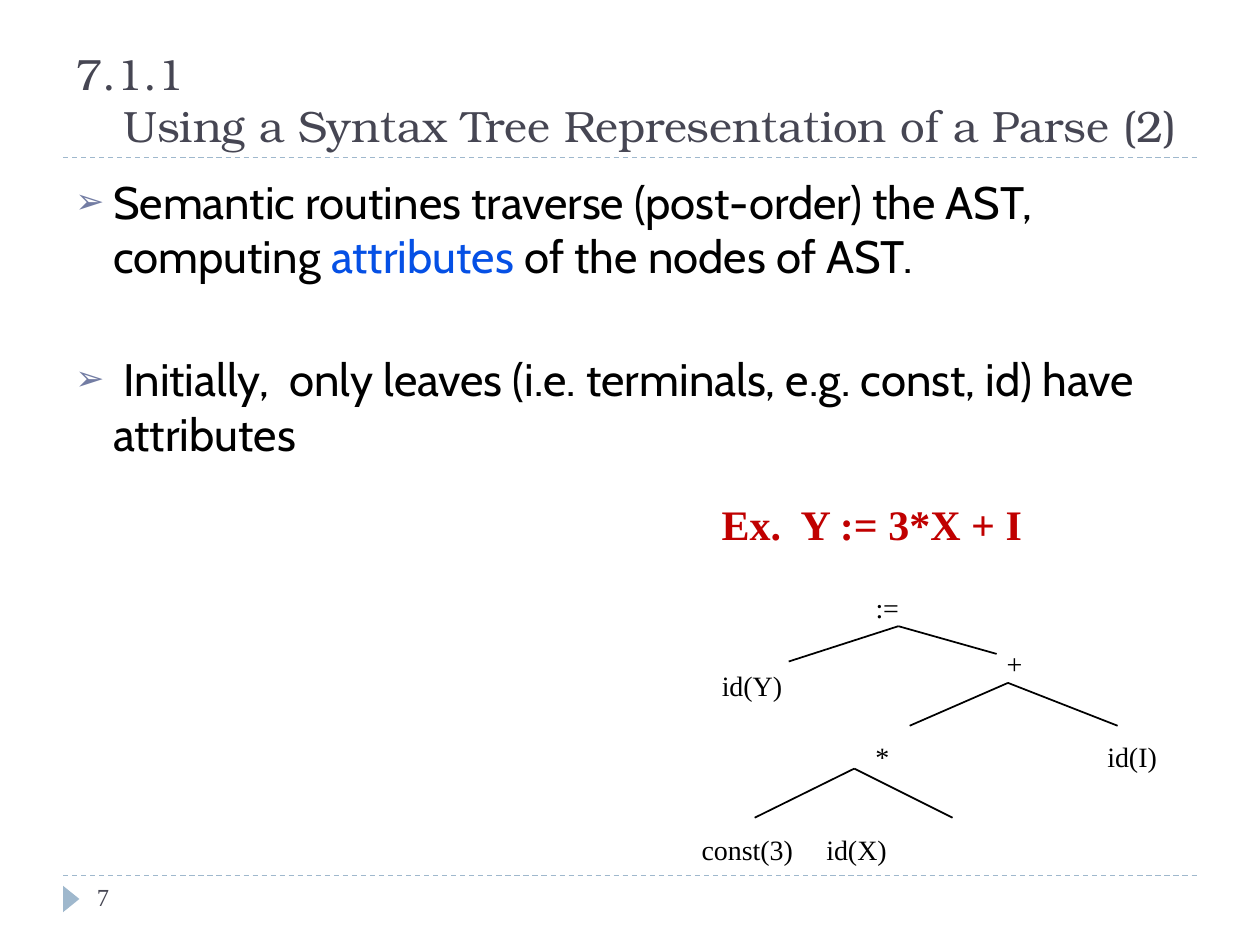
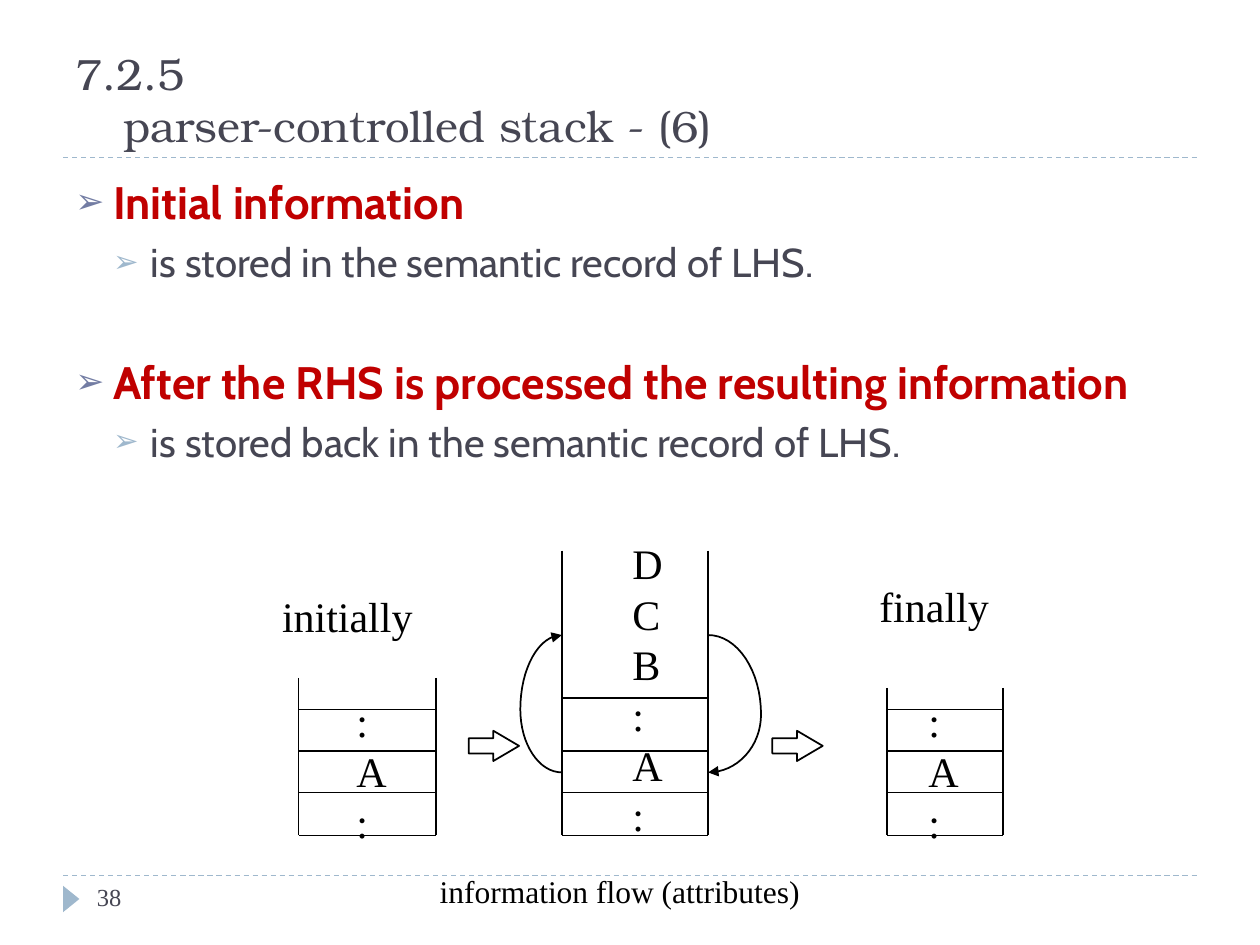
import math

import pptx
import pptx.dml.color
import pptx.enum.dml
import pptx.enum.shapes
import pptx.enum.text
import pptx.oxml.ns
import pptx.util
from lxml import etree

Inches, Pt = pptx.util.Inches, pptx.util.Pt
qn = pptx.oxml.ns.qn
SHAPE = pptx.enum.shapes.MSO_SHAPE
ALIGN = pptx.enum.text.PP_ALIGN

# ---- Shared style ----
COLORS = {"ink": "000000", "title": "464653", "rule": "9FB8CD",
          "bullet": "727CA3", "blue": "0550E5", "red": "C00000"}
TITLE_FONT, BODY_FONT, FIGURE_FONT = "TeX Gyre Bonum", "Cabin", "Times New Roman"
# level: size, left indent, space before, bullet colour
LEVELS = [(26, 0.3, 6, "bullet"), (23, 0.6, 5, "rule")]
HANGING = 0.3
GROUP_GAP = 39
STACK_PITCH = 28.8

# ---- Content: paragraphs are (level, starts a new group, [(text, colour, bold)]) ----
TREE_SLIDE = {
    "title": "7.1.1 \vUsing a Syntax Tree Representation of a Parse (2)",
    "number": "7", "body_width": 9,
    "body": [
        (0, False, [("Semantic routines traverse (post-order) the AST, computing ", "ink", False),
                    ("attributes ", "blue", False),
                    ("of the nodes of AST.", "ink", False)]),
        (0, True, [(" Initially,  only leaves (i.e. terminals, e.g. const, id) have attributes",
                    "ink", False)]),
    ],
}
STACK_SLIDE = {
    "title": "7.2.5  \vparser-controlled stack - (6)",
    "number": "38", "body_width": 9.5,
    "body": [
        (0, False, [("Initial information", "red", True)]),
        (1, False, [("is stored in the semantic record of LHS.", "title", False)]),
        (0, True, [("After the RHS is processed the resulting information", "red", True)]),
        (1, False, [("is stored back in the semantic record of LHS.", "title", False)]),
    ],
}

# Syntax tree: (text, left, top, width) and (parent point, child points)
TREE_NODES = [(":=", 6.85, 4.64, 0.45), ("id(Y)", 5.63, 5.26, 0.75), ("+", 7.89, 5.08, 0.4),
              ("*", 6.85, 5.82, 0.4), ("id(I)", 8.69, 5.82, 0.7),
              ("const(3)", 5.47, 6.56, 1), ("id(X)", 6.46, 6.56, 0.75)]
TREE_BRANCHES = [((7.13, 4.97), [(6.26, 5.25), (7.91, 5.19)]),
                 ((8, 5.42), [(7.22, 5.76), (8.87, 5.76)]),
                 ((6.78, 6.1), [(5.99, 6.49), (7.56, 6.49)])]

# Stacks: left, right, top, highest cell line, symbols, symbol left and top
STACK_BOTTOM = 6.63
CELL_LINES = [5.96, 6.29, STACK_BOTTOM]
STACKS = [(2.37, 3.46, 5.38, 5.63, ":A:", 2.73, 5.47),
          (4.46, 5.62, 4.37, 5.54, "DCB:A:", 4.92, 4.22),
          (7.04, 7.96, 5.46, 5.63, ":A:", 7.27, 5.47)]
STACK_LABELS = [("initially", 2.14, 4.64, 1.3), ("finally", 6.88, 4.56, 1.15)]
STEP_ARROWS = [3.72, 6.13]
# Attribute flow: x at the stack wall, bulge, start y, widest y, end y
FLOWS = [(5.62, 0.42, 5.04, 5.67, 6.13), (4.46, -0.33, 6.13, 5.63, 5.04)]


def rgb(name):
    return pptx.dml.color.RGBColor.from_string(COLORS[name])


def style(font, name, size, color, bold=False):
    font.name, font.size, font.bold = name, Pt(size), bold
    font.color.rgb = rgb(color)


def set_indent(p, left, first):
    ppr = p._p.get_or_add_pPr()
    ppr.set("marL", str(Inches(left)))
    ppr.set("indent", str(Inches(first)))
    return ppr


def add_bullet(ppr, color):
    clr = etree.SubElement(ppr, qn("a:buClr"))
    etree.SubElement(clr, qn("a:srgbClr"), val=COLORS[color])
    etree.SubElement(ppr, qn("a:buSzPct"), val="76000")
    etree.SubElement(ppr, qn("a:buFont"), typeface=BODY_FONT)
    etree.SubElement(ppr, qn("a:buChar"), char="➢")


def add_box(s, left, top, width, height):
    tf = s.shapes.add_textbox(Inches(left), Inches(top), Inches(width), Inches(height)).text_frame
    tf.word_wrap = True
    return tf


def add_label(s, text, left, top, width, height, size, color="ink", bold=False,
              align=ALIGN.LEFT, pitch=None):
    tf = add_box(s, left, top, width, height)
    tf.text = text
    for p in tf.paragraphs:
        p.alignment = align
        if pitch:
            p.line_spacing = Pt(pitch)
        for r in p.runs:
            style(r.font, FIGURE_FONT, size, color, bold)


def add_line(s, start, end, color="ink", width=1, dash=False):
    line = s.shapes.add_connector(pptx.enum.shapes.MSO_CONNECTOR.STRAIGHT,
                                  *(Inches(v) for v in (*start, *end)))
    line.line.color.rgb = rgb(color)
    line.line.width = Pt(width)
    if dash:
        line.line.dash_style = pptx.enum.dml.MSO_LINE.DASH
    etree.SubElement(line._element.spPr, qn("a:effectLst"))


def outline(sp):
    sp.shadow.inherit = False
    sp.fill.background()
    sp.line.color.rgb = rgb("ink")
    sp.line.width = Pt(1)


def add_flow(s, wall, bulge, start, widest, end, steps=32):
    """Half oval leaving the stack wall and returning to it with an arrowhead."""
    points = []
    for i in range(steps + 1):
        a = math.pi * i / steps
        reach = start - widest if i < steps / 2 else widest - end
        points.append((Inches(wall + bulge * math.sin(a)),
                       Inches(widest + reach * math.cos(a))))
    builder = s.shapes.build_freeform(*points[0])
    builder.add_line_segments(points[1:], close=False)
    sp = builder.convert_to_shape()
    outline(sp)
    etree.SubElement(sp.line._get_or_add_ln(), qn("a:tailEnd"), type="triangle")


def add_base(prs, content):
    """Rules, page marker, title and bulleted body."""
    s = prs.slides.add_slide(prs.slide_layouts[6])
    for y in (1.25, 6.95):
        add_line(s, (0.5, y), (9.5, y), "rule", 0.75, dash=True)
    marker = s.shapes.add_shape(SHAPE.ISOSCELES_TRIANGLE, Inches(0.46), Inches(7.07),
                                Inches(0.21), Inches(0.13))
    marker.rotation = 90
    marker.shadow.inherit = False
    marker.fill.solid()
    marker.fill.fore_color.rgb = rgb("rule")
    marker.line.fill.background()
    add_label(s, content["number"], 0.67, 6.95, 2.17, 0.4, 14, "title")

    tf = add_box(s, 0.5, 0.17, 9, 1.08)
    tf.vertical_anchor = pptx.enum.text.MSO_ANCHOR.BOTTOM
    p = tf.paragraphs[0]
    p.text = content["title"]
    set_indent(p, 0.38, -0.38)
    for r in p.runs:
        style(r.font, TITLE_FONT, 25, "title")

    tf = add_box(s, 0.5, 1.33, content["body_width"], 5.4)
    for i, (level, new_group, runs) in enumerate(content["body"]):
        size, left, before, bullet = LEVELS[level]
        p = tf.add_paragraph() if i else tf.paragraphs[0]
        p.level = level
        if i:
            p.space_before = Pt(GROUP_GAP if new_group else before)
        add_bullet(set_indent(p, left, -HANGING), bullet)
        for text, color, bold in runs:
            r = p.add_run()
            r.text = text
            style(r.font, BODY_FONT, size, color, bold)
    return s


def build_tree(prs):
    s = add_base(prs, TREE_SLIDE)
    add_label(s, "Ex.  Y := 3*X + I", 5.63, 3.91, 3.43, 0.5, 24, "red", bold=True)
    for parent, children in TREE_BRANCHES:
        for child in children:
            add_line(s, parent, child)
    for text, left, top, width in TREE_NODES:
        add_label(s, text, left, top, width, 0.36, 16)


def build_stacks(prs):
    s = add_base(prs, STACK_SLIDE)
    for text, left, top, width in STACK_LABELS:
        add_label(s, text, left, top, width, 0.5, 24)
    for left, right, top, first_line, symbols, text_left, text_top in STACKS:
        add_label(s, "\n".join(symbols), text_left, text_top, 0.5,
                  0.1 + 0.4 * len(symbols), 24, pitch=STACK_PITCH)
        for x in (left, right):
            add_line(s, (x, top), (x, STACK_BOTTOM))
        for y in [first_line, *CELL_LINES]:
            add_line(s, (left, y), (right, y))
    for left in STEP_ARROWS:
        arrow = s.shapes.add_shape(SHAPE.RIGHT_ARROW, Inches(left), Inches(5.8),
                                   Inches(0.4), Inches(0.24))
        arrow.adjustments[1] = 0.85
        outline(arrow)
    for flow in FLOWS:
        add_flow(s, *flow)
    add_label(s, "information flow (attributes)", 3.27, 6.87, 3.3, 0.4, 18,
              align=ALIGN.CENTER)


def main():
    prs = pptx.Presentation()
    prs.slide_width, prs.slide_height = Inches(10), Inches(7.5)
    build_tree(prs)
    build_stacks(prs)
    prs.save("out.pptx")


if __name__ == "__main__":
    main()
